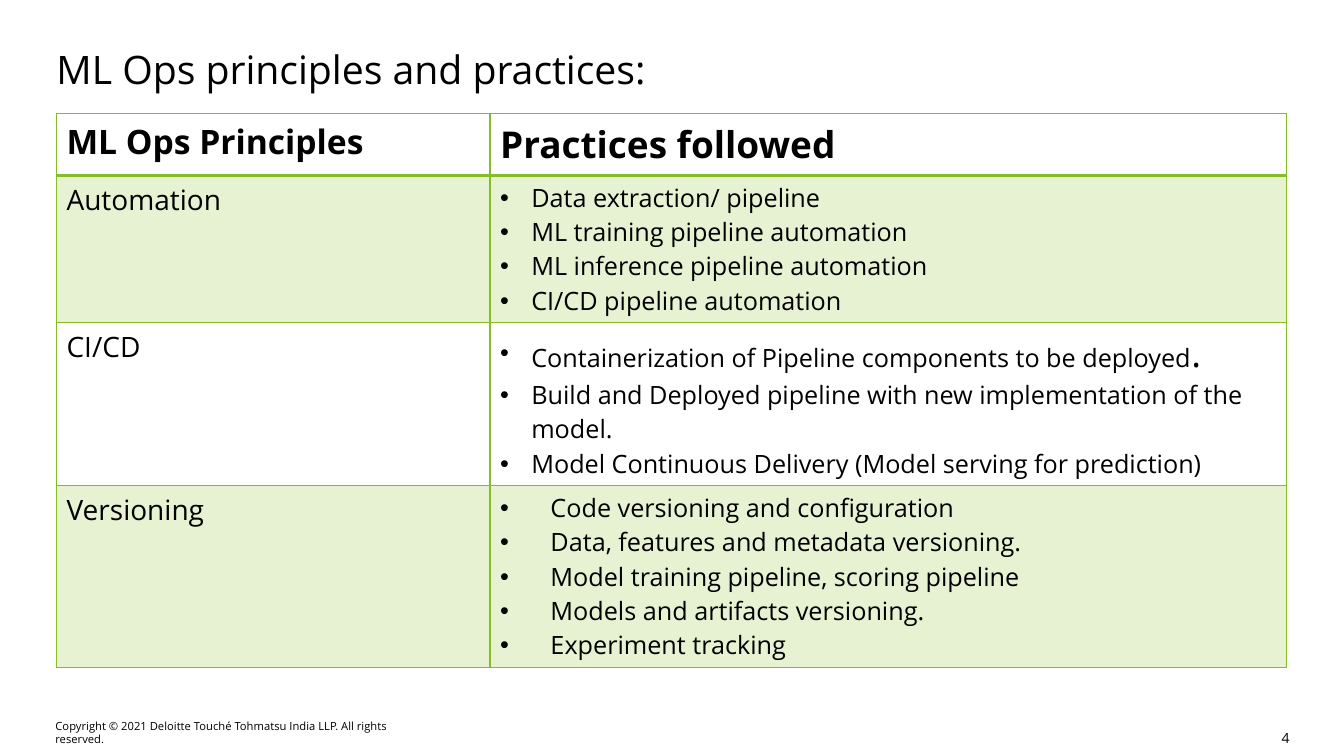
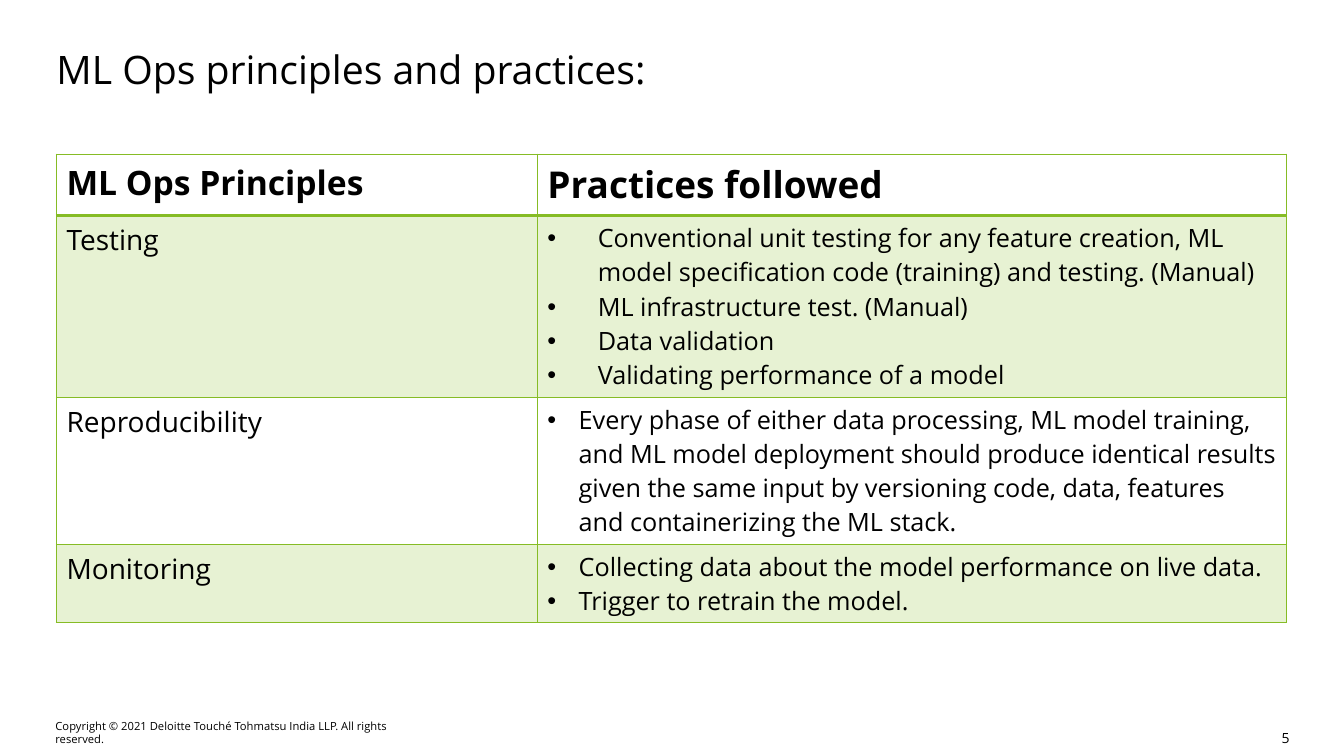
from dataclasses import dataclass

from lxml import etree
from pptx import Presentation
from pptx.dml.color import RGBColor
from pptx.enum.text import MSO_ANCHOR, PP_ALIGN
from pptx.oxml.ns import qn
from pptx.util import Inches, Pt

TOP, BOTTOM = MSO_ANCHOR.TOP, MSO_ANCHOR.BOTTOM
LEFT, RIGHT = PP_ALIGN.LEFT, PP_ALIGN.RIGHT
TITLE_ONLY = 5


@dataclass(frozen=True)
class Theme:
    font: str = "Open Sans"
    text: str = "000000"
    border: str = "86BC25"
    band: str = "E7F2D3"
    title_size: float = 28
    header_sizes: tuple = (24, 26.4)
    principle_size: float = 20
    practice_size: float = 18
    emphasis_size: float = 26.4
    number_size: float = 10
    copyright_size: float = 8
    margin: float = 0.56
    content_width: float = 12.2


TITLE = "ML Ops principles and practices:"
HEADERS = ("ML Ops Principles", "Practices followed")
COPYRIGHT = "Copyright © 2021 Deloitte Touché Tohmatsu India LLP. All rights reserved."
NARROW, WIDE = 0.31, 0.5
HEADER_HEIGHT = 0.61

SLIDES = [
    {
        "number": 4,
        "top": 1.13,
        "principle_width": 4.3,
        "rows": [
            ("Automation", 1.46, NARROW, [
                "Data extraction/ pipeline",
                "ML training pipeline automation",
                "ML inference pipeline automation",
                "CI/CD pipeline automation",
            ]),
            ("CI/CD", 1.62, NARROW, [
                ("Containerization of Pipeline components to be deployed", "."),
                "Build and Deployed pipeline with new implementation of the model.",
                "Model Continuous Delivery (Model serving for prediction)",
            ]),
            ("Versioning", 1.8, WIDE, [
                "Code versioning and configuration",
                "Data, features and metadata versioning.",
                "Model training pipeline, scoring pipeline",
                "Models and artifacts versioning.",
                "Experiment tracking",
            ]),
        ],
    },
    {
        "number": 5,
        "top": 1.53,
        "principle_width": 4.77,
        "rows": [
            ("Testing", 1.8, WIDE, [
                "Conventional unit testing for any feature creation, ML model "
                "specification code (training) and testing. (Manual)",
                "ML infrastructure test. (Manual)",
                "Data validation",
                "Validating performance of a model",
            ]),
            ("Reproducibility", 1.46, NARROW, [
                "Every phase of either data processing, ML model training, and ML "
                "model deployment should produce identical results given the same "
                "input by versioning code, data, features and containerizing the "
                "ML stack.",
            ]),
            ("Monitoring", 0.78, NARROW, [
                "Collecting data about the model performance on live data.",
                "Trigger to retrain the model.",
            ]),
        ],
    },
]


class Deck:
    def __init__(self, theme):
        self.theme = theme
        self.presentation = Presentation()
        self.presentation.slide_width = Inches(13.33)
        self.presentation.slide_height = Inches(7.5)
        self.slide = None

    def add_slide(self, title, number):
        layout = self.presentation.slide_layouts[TITLE_ONLY]
        self.slide = self.presentation.slides.add_slide(layout)
        self.add_title(title)
        self.add_footer(COPYRIGHT, 0.55, 3.7, self.theme.copyright_size, LEFT)
        self.add_footer(str(number), 12.29, 0.5, self.theme.number_size, RIGHT)

    def style(self, font, size, bold=False):
        font.name = self.theme.font
        font.size = Pt(size)
        font.bold = bold
        font.color.rgb = RGBColor.from_string(self.theme.text)

    def fill_frame(self, shape, text, size, anchor, alignment):
        frame = shape.text_frame
        frame.margin_left = frame.margin_right = 0
        frame.margin_top = frame.margin_bottom = 0
        frame.word_wrap = True
        frame.vertical_anchor = anchor
        frame.text = text
        paragraph = frame.paragraphs[0]
        paragraph.alignment = alignment
        self.style(paragraph.font, size)

    def add_title(self, text):
        title = self.slide.shapes.title
        title.left, title.top = Inches(self.theme.margin), Inches(0.45)
        title.width, title.height = Inches(self.theme.content_width), Inches(0.47)
        self.fill_frame(title, text, self.theme.title_size, TOP, LEFT)

    def add_footer(self, text, left, width, size, alignment):
        box = self.slide.shapes.add_textbox(
            Inches(left), Inches(7.1), Inches(width), Inches(0.3))
        self.fill_frame(box, text, size, BOTTOM, alignment)

    def add_table(self, top, principle_width, rows):
        theme = self.theme
        heights = [HEADER_HEIGHT] + [height for _, height, _, _ in rows]
        table = self.slide.shapes.add_table(
            len(heights), 2, Inches(theme.margin), Inches(top),
            Inches(theme.content_width), Inches(sum(heights))).table
        table.horz_banding = False
        table.columns[0].width = Inches(principle_width)
        table.columns[1].width = Inches(theme.content_width - principle_width)
        for index, height in enumerate(heights):
            table.rows[index].height = Inches(height)
            for cell in table.rows[index].cells:
                self.format_cell(cell, index)
        for column, (text, size) in enumerate(zip(HEADERS, theme.header_sizes)):
            self.write_cell(table.cell(0, column), text, size, bold=True)
        for index, (principle, _, indent, practices) in enumerate(rows, start=1):
            self.write_cell(table.cell(index, 0), principle, theme.principle_size)
            self.write_bullets(table.cell(index, 1), practices, indent)

    def format_cell(self, cell, row):
        properties = cell._tc.get_or_add_tcPr()
        widths = {"lnL": 1, "lnR": 1, "lnT": 2 if row == 1 else 1,
                  "lnB": 2 if row == 0 else 1}
        for tag, width in widths.items():
            line = etree.SubElement(properties, qn(f"a:{tag}"), w=str(Pt(width)))
            fill = etree.SubElement(line, qn("a:solidFill"))
            etree.SubElement(fill, qn("a:srgbClr"), val=self.theme.border)
        if row % 2:
            cell.fill.solid()
            cell.fill.fore_color.rgb = RGBColor.from_string(self.theme.band)
        else:
            cell.fill.background()

    def write_cell(self, cell, text, size, bold=False):
        cell.text = text
        self.style(cell.text_frame.paragraphs[0].font, size, bold)

    def write_bullets(self, cell, practices, indent):
        frame = cell.text_frame
        for index, practice in enumerate(practices):
            paragraph = frame.add_paragraph() if index else frame.paragraphs[0]
            self.add_bullet(paragraph, indent)
            self.style(paragraph.font, self.theme.practice_size)
            if isinstance(practice, str):
                paragraph.add_run().text = practice
                continue
            sizes = (self.theme.practice_size, self.theme.emphasis_size)
            for text, size in zip(practice, sizes):
                run = paragraph.add_run()
                run.text = text
                self.style(run.font, size)

    def add_bullet(self, paragraph, indent):
        properties = paragraph._p.get_or_add_pPr()
        properties.set("marL", str(Inches(indent)))
        properties.set("indent", str(-Inches(indent)))
        etree.SubElement(properties, qn("a:buFont"), typeface="Arial")
        etree.SubElement(properties, qn("a:buChar"), char="•")


def main():
    deck = Deck(Theme())
    for content in SLIDES:
        deck.add_slide(TITLE, content["number"])
        deck.add_table(content["top"], content["principle_width"], content["rows"])
    deck.presentation.save("out.pptx")


if __name__ == "__main__":
    main()
